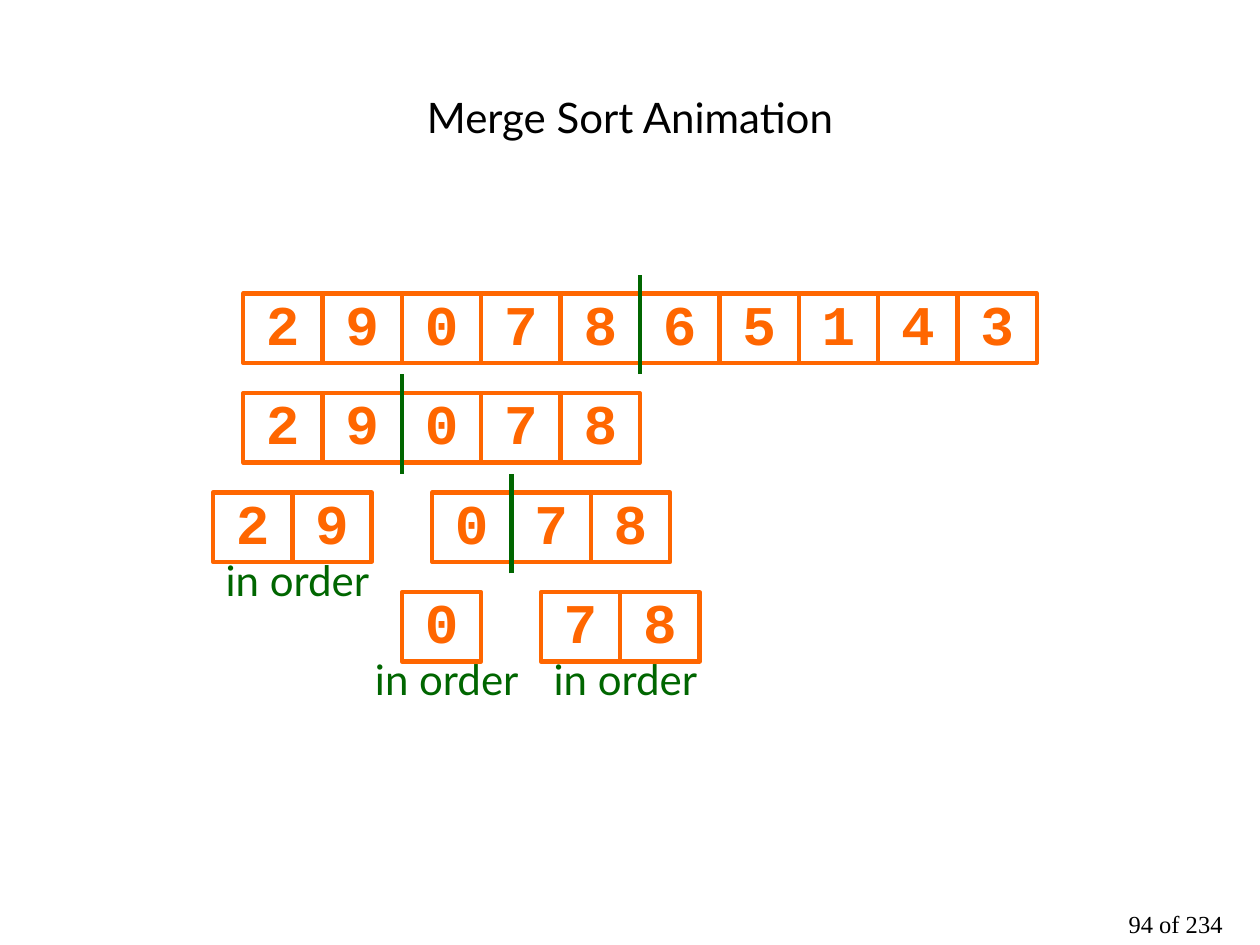
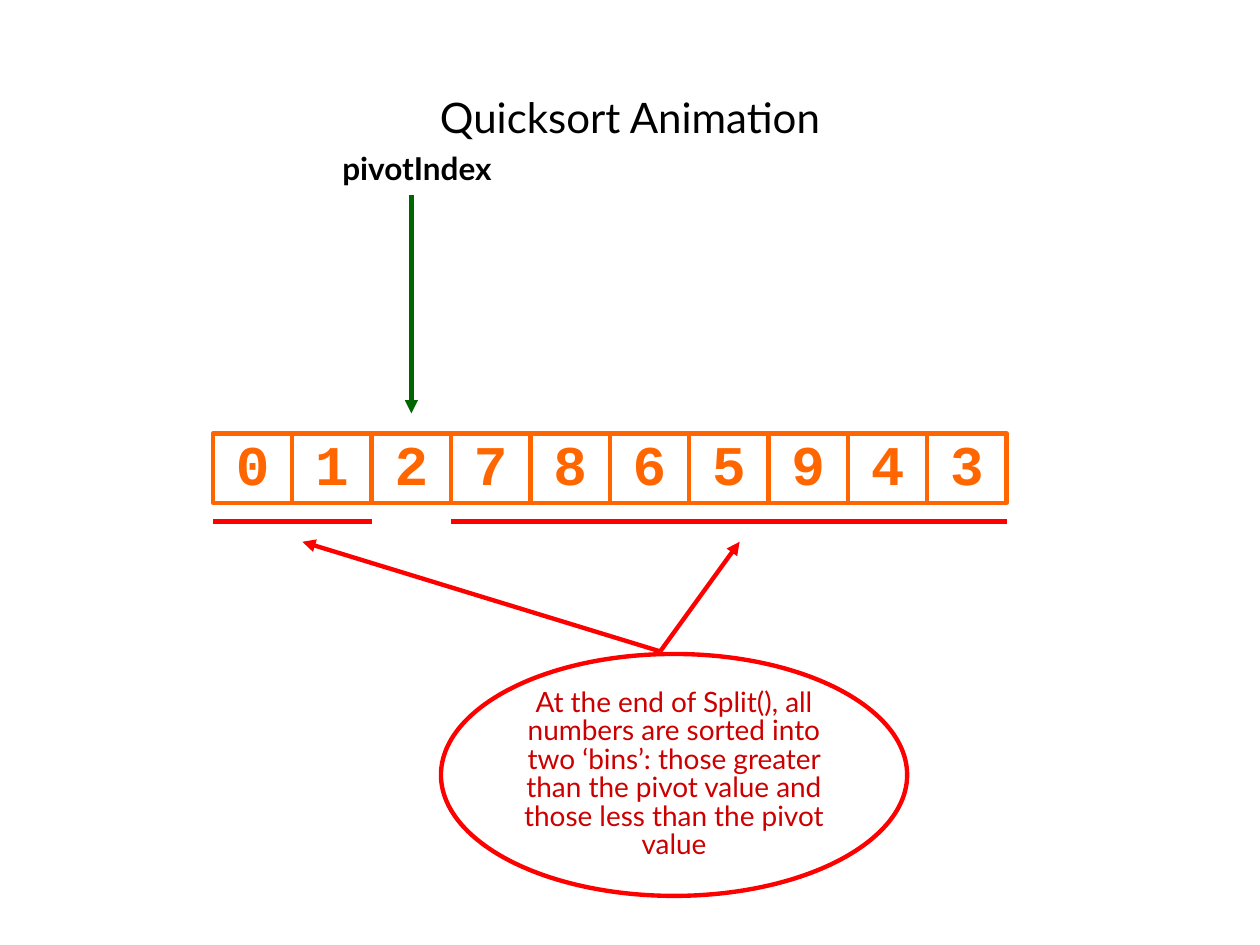
"""Build two sorting slides: merge sort splits and quicksort bins."""
from lxml import etree
from pptx import Presentation
from pptx import util as u
from pptx.dml.color import RGBColor
from pptx.enum import shapes, text
from pptx.oxml.ns import qn

BLACK, ORANGE, GREEN, RED, DARK_RED = "000000", "FF6600", "006600", "FF0000", "CC0000"
SANS, MONO, SERIF = "Lato", "Courier New", "Times New Roman"
RECTANGLE, OVAL = shapes.MSO_SHAPE.RECTANGLE, shapes.MSO_SHAPE.OVAL
CELL_W, CELL_H, ROW_STEP = 0.63, 0.55, 0.79
LINE_WIDTH = u.Pt(2.5)


def add_box(page, place, words, size, color, font=SANS, bold=False,
            outline=None, kind=None, middle=False, spacing=0.85):
    left, top, width, height = (u.Inches(length) for length in place)
    if kind is None:
        box = page.shapes.add_textbox(left, top, width, height)
    else:
        box = page.shapes.add_shape(kind, left, top, width, height)
        box.shadow.inherit = False
        box.fill.background()
        box.line.color.rgb = RGBColor.from_string(outline)
        box.line.width = LINE_WIDTH
    frame = box.text_frame
    frame.word_wrap = True
    frame.margin_left = frame.margin_top = frame.margin_right = frame.margin_bottom = 0
    frame.vertical_anchor = text.MSO_ANCHOR.MIDDLE if middle else text.MSO_ANCHOR.TOP
    para = frame.paragraphs[0]
    para.text = words
    para.alignment = text.PP_ALIGN.CENTER
    para.line_spacing = spacing
    para.font.name, para.font.size, para.font.bold = font, u.Pt(size), bold
    para.font.color.rgb = RGBColor.from_string(color)


def add_line(page, start, end, color, arrow=False):
    ends = [u.Inches(length) for length in (*start, *end)]
    line = page.shapes.add_connector(shapes.MSO_CONNECTOR.STRAIGHT, *ends)
    line.line.color.rgb = RGBColor.from_string(color)
    line.line.width = LINE_WIDTH
    if arrow:
        etree.SubElement(line.line._get_or_add_ln(), qn("a:tailEnd"), type="triangle")
    etree.SubElement(line._element.spPr, qn("a:effectLst"))


deck = Presentation()
deck.slide_width, deck.slide_height = u.Inches(10), u.Inches(7.5)
merge_page, quick_page = (deck.slides.add_slide(deck.slide_layouts[6]) for _ in range(2))

for page, title in ((merge_page, "Merge Sort Animation"), (quick_page, "Quicksort Animation")):
    add_box(page, (0.5, 0.3, 9, 1.25), title, 24, BLACK, middle=True, spacing=1)
add_box(merge_page, (8.64, 7.27, 1.38, 0.23), "94 of 234", 14, BLACK, SERIF, spacing=0.75)

MERGE_LEFT, MERGE_TOP = 1.93, 2.33
QUICK_LEFT, QUICK_TOP = 1.69, 3.44
merge_runs = [(0, 0, "2907865143"), (0, 1, "29078"), (-0.38, 2, "29"),
              (2.38, 2, "078"), (2, 3, "0"), (3.75, 3, "78")]
arrays = [(merge_page, MERGE_LEFT + column * CELL_W, MERGE_TOP + row * ROW_STEP, digits)
          for column, row, digits in merge_runs]
arrays.append((quick_page, QUICK_LEFT, QUICK_TOP, "0127865943"))
for page, left, top, digits in arrays:
    for index, digit in enumerate(digits):
        add_box(page, (left + index * CELL_W, top, CELL_W, CELL_H), digit, 32, ORANGE,
                MONO, True, outline=ORANGE, kind=RECTANGLE, middle=True)

for row, column in enumerate((5, 2, 3.38)):
    x, top = MERGE_LEFT + column * CELL_W, MERGE_TOP - 0.15 + row * ROW_STEP
    add_line(merge_page, (x, top + ROW_STEP), (x, top), GREEN)

LABEL_W = 1.81
for column, row, digits in merge_runs:
    if len(digits) < 3:
        center = MERGE_LEFT + (column + len(digits) / 2) * CELL_W + 0.04
        bottom = MERGE_TOP + row * ROW_STEP + CELL_H
        add_box(merge_page, (center - LABEL_W / 2, bottom, LABEL_W, 0.34), "in order", 24, GREEN)

pivot_x = QUICK_LEFT + 2.5 * CELL_W
add_line(quick_page, (pivot_x, 1.55), (pivot_x, 3.28), GREEN, arrow=True)
add_box(quick_page, (2.56, 1.23, 1.5, 0.26), "pivotIndex", 18, BLACK, bold=True)
add_box(quick_page, (3.5, 5.19, 3.7, 1.92),
        "At the end of Split(), all numbers are sorted into two ‘bins’: those greater "
        "than the pivot value and those less than the pivot value",
        16, DARK_RED, outline=RED, kind=OVAL, middle=True)

BIN_Y = QUICK_TOP + CELL_H + 0.15
for first, last, tip_x in ((0, 2, 2.4), (3, 10, 5.87)):
    add_line(quick_page, (QUICK_LEFT + first * CELL_W, BIN_Y),
             (QUICK_LEFT + last * CELL_W, BIN_Y), RED)
    add_line(quick_page, (5.24, 5.17), (tip_x, 4.3), RED, arrow=True)

deck.save("out.pptx")
